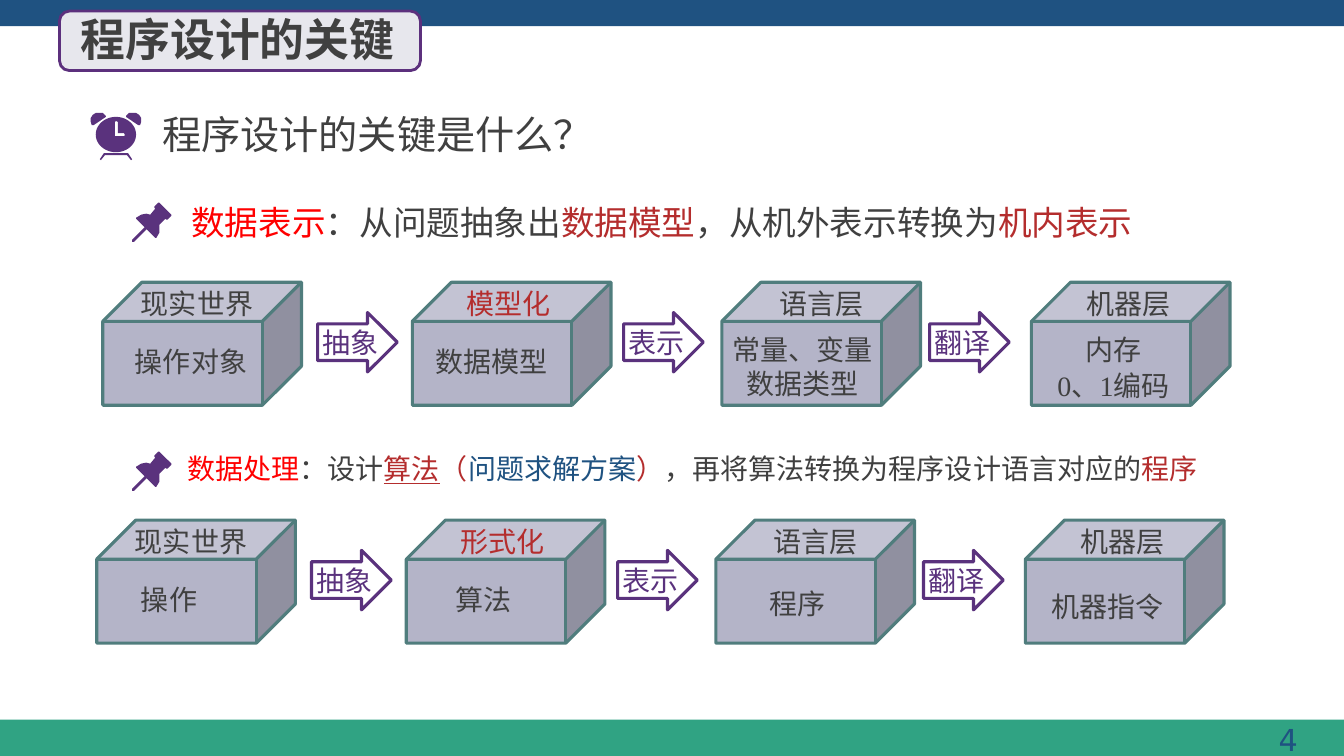
import math
from dataclasses import dataclass

from lxml import etree
from pptx import Presentation
from pptx.dml.color import RGBColor
from pptx.enum.shapes import MSO_SHAPE
from pptx.enum.text import MSO_ANCHOR, MSO_AUTO_SIZE, PP_ALIGN
from pptx.oxml.ns import qn
from pptx.util import Inches, Pt

RECT, ROUND_RECT = MSO_SHAPE.RECTANGLE, MSO_SHAPE.ROUNDED_RECTANGLE
CUBE, ARROW = MSO_SHAPE.CUBE, MSO_SHAPE.RIGHT_ARROW
LEFT, CENTER, RIGHT = PP_ALIGN.LEFT, PP_ALIGN.CENTER, PP_ALIGN.RIGHT
TOP, MIDDLE = MSO_ANCHOR.TOP, MSO_ANCHOR.MIDDLE
NO_AUTOSIZE = MSO_AUTO_SIZE.NONE

WIDTH, HEIGHT = 13.33, 7.5
CJK, LATIN, SERIF = "Noto Sans CJK SC", "DejaVu Sans", "Times New Roman"
INK, CRIMSON, RED = "404040", "B42D2D", "FF0000"
NAVY, PURPLE, GREEN = "1F5281", "5A327D", "30A383"

CUBE_PITCH, CUBE_SIZE = 3.07, (1.97, 1.22)
ARROW_PITCH, ARROW_SIZE = 3.035, (0.79, 0.59)
HEADING_OFFSETS = (0.28, 0.44, 0.47, 0.45)
STEPS = ("抽象", "表示", "翻译")
CLOCK_CENTER = 1.15
PIN_HEAD = (
    (1.7, 2.13), (1.58, 2.01), (1.57, 2.01), (1.53, 2.05), (1.53, 2.06),
    (1.54, 2.07), (1.49, 2.13), (1.45, 2.12), (1.4, 2.13), (1.35, 2.16),
    (1.35, 2.17), (1.54, 2.36), (1.55, 2.36), (1.58, 2.31), (1.58, 2.23),
    (1.64, 2.17), (1.65, 2.18), (1.66, 2.18), (1.7, 2.14),
)
PIN_NEEDLE = ((1.31, 2.4), (1.31, 2.38), (1.44, 2.25), (1.46, 2.25),
              (1.46, 2.27), (1.33, 2.4))


@dataclass
class Stage:
    """One cube: its heading, and its front text with place and format."""
    heading: str
    body: tuple
    dx: float
    dy: float
    width: float
    align: PP_ALIGN = CENTER
    heading_color: str = INK
    font: str = CJK
    spacing: object = None


DATA_STAGES = (
    Stage("现实世界", ("操作对象",), 0.22, 0.57, 1.39, LEFT),
    Stage("模型化", ("数据模型",), 0.13, 0.57, 1.37, LEFT, CRIMSON),
    Stage("语言层", ("常量、变量", "数据类型"), -0.02, 0.45, 1.64),
    Stage("机器层", ("内存", "0、1编码"), 0, 0.42, 1.63, font=SERIF, spacing=Pt(26)),
)
PROCESS_STAGES = (
    Stage("现实世界", ("操作",), 0.34, 0.57, 0.98, LEFT),
    Stage("形式化", ("算法",), 0.39, 0.57, 0.9, LEFT, CRIMSON),
    Stage("语言层", ("程序",), -0.01, 0.61, 1.64),
    Stage("机器层", ("机器指令",), 0, 0.61, 1.63, font=SERIF, spacing=Pt(26)),
)
DATA_POINT = (
    ("数据表示", RED), ("：从问题抽象出", INK), ("数据模型", CRIMSON),
    ("，从机外表示转换为", INK), ("机内表示", CRIMSON),
)
PROCESS_POINT = (
    ("数据处理", RED), ("：设计", INK), ("算法", CRIMSON, CJK, True),
    ("（", CRIMSON), ("问题求解方案", NAVY, LATIN), ("）", CRIMSON),
    ("，再将算法转换为程序设计语言对应的", INK), ("程序", CRIMSON),
)


def rgb(value):
    """Turn a hex string into a colour."""
    return RGBColor.from_string(value)


def box(left, top, width, height):
    """Give a rectangle in inches as slide lengths."""
    return [Inches(length) for length in (left, top, width, height)]


def write(frame, *paragraphs, size=20, color=INK, font=CJK, bold=False,
          align=LEFT, anchor=TOP, spacing=None, insets=(0.1, 0.05, 0.1, 0.05)):
    """Fill a frame with paragraphs, each a string or a series of (text, colour, font, underline)."""
    frame.word_wrap, frame.auto_size, frame.vertical_anchor = True, NO_AUTOSIZE, anchor
    (frame.margin_left, frame.margin_top,
     frame.margin_right, frame.margin_bottom) = box(*insets)
    for index, content in enumerate(paragraphs):
        paragraph = frame.add_paragraph() if index else frame.paragraphs[0]
        paragraph.alignment, paragraph.line_spacing = align, spacing
        pieces = ((content, color),) if isinstance(content, str) else content
        for text, ink, *extra in pieces:
            run = paragraph.add_run()
            run.text = text
            run.font.size, run.font.bold = Pt(size), bold
            run.font.color.rgb = rgb(ink)
            run.font.name = extra[0] if extra else font
            if len(extra) > 1:
                run.font.underline = extra[1]
            east_asian = etree.SubElement(run.font._element, qn("a:ea"))
            east_asian.set("typeface", CJK)


def add_text(slide, place, *paragraphs, **style):
    """Add a text box."""
    write(slide.shapes.add_textbox(*box(*place)).text_frame, *paragraphs, **style)


def paint(shape, fill=None, line=None, weight=2.25):
    """Set a shape's fill and outline, and drop its shadow."""
    shape.shadow.inherit = False
    if fill:
        shape.fill.solid()
        shape.fill.fore_color.rgb = rgb(fill)
    else:
        shape.fill.background()
    if line:
        shape.line.color.rgb = rgb(line)
        shape.line.width = Pt(weight)
    else:
        shape.line.fill.background()


def add_shape(slide, kind, place, fill=None, line=None, weight=2.25, adjust=()):
    """Add a preset shape."""
    shape = slide.shapes.add_shape(kind, *box(*place))
    for index, value in enumerate(adjust):
        shape.adjustments[index] = value
    paint(shape, fill, line, weight)
    return shape


def add_outline(slide, *contours, drop=0):
    """Add a purple freeform made of closed contours."""
    contours = [[(Inches(x), Inches(y + drop)) for x, y in points] for points in contours]
    builder = slide.shapes.build_freeform(*contours[0][0], scale=1.0)
    for index, points in enumerate(contours):
        if index:
            builder.move_to(*points[0])
        builder.add_line_segments(points[1:], close=True)
    paint(builder.convert_to_shape(), PURPLE)


def add_clock(slide):
    """Draw the alarm clock beside the question."""
    angles = [math.radians(step) for step in range(0, 360, 6)]
    face = [(CLOCK_CENTER + 0.2 * math.cos(a), 1.335 + 0.175 * math.sin(a)) for a in angles]
    hands = ((1.14, 1.21), (1.15, 1.2), (1.17, 1.21), (1.17, 1.32), (1.23, 1.32),
             (1.24, 1.34), (1.23, 1.35), (1.14, 1.35))
    foot = ((0.99, 1.58), (1.03, 1.52), (1.27, 1.52), (1.31, 1.58),
            (1.3, 1.59), (1.26, 1.54), (1.04, 1.54), (1, 1.59))
    bell = ((0.91, 1.24), (0.9, 1.21), (0.9, 1.17), (0.92, 1.14), (0.95, 1.12),
            (0.98, 1.12), (1.02, 1.12), (1.05, 1.15), (1.05, 1.16), (0.93, 1.24))
    add_outline(slide, face, hands)
    add_outline(slide, foot)
    add_outline(slide, bell)
    add_outline(slide, [(2 * CLOCK_CENTER - x, y) for x, y in bell])


def add_point(slide, left, top, pieces, size, height, drop=0):
    """Add a pinned statement."""
    add_outline(slide, PIN_HEAD, drop=drop)
    add_outline(slide, PIN_NEEDLE, drop=drop)
    add_text(slide, (left, top, 11.42, height), pieces, size=size, spacing=1.2)


def add_flow(slide, left, top, stages):
    """Add a row of cubes with labelled arrows between them."""
    for column, (stage, heading_dx) in enumerate(zip(stages, HEADING_OFFSETS)):
        x = left + column * CUBE_PITCH
        add_shape(slide, CUBE, (x, top, *CUBE_SIZE), "B4B4C8", "507D7D", adjust=(0.318,))
        add_text(slide, (x + heading_dx, top - 0.01, 1.66, 0.44), stage.heading,
                 color=stage.heading_color)
        add_text(slide, (x + stage.dx, top + stage.dy, stage.width, 0.4 * len(stage.body)),
                 *stage.body, align=stage.align, font=stage.font, spacing=stage.spacing)
    for column, step in enumerate(STEPS):
        place = (left + 2.13 + column * ARROW_PITCH, top + 0.3, *ARROW_SIZE)
        arrow = add_shape(slide, ARROW, place, line=PURPLE, adjust=(0.616, 0.5))
        write(arrow.text_frame, step, color=PURPLE, align=CENTER, anchor=MIDDLE,
              spacing=Pt(24), insets=(0.04, 0, 0, 0))


def add_title(slide, text):
    """Put the title on its rounded plate."""
    add_shape(slide, ROUND_RECT, (0.59, 0.11, 3.58, 0.59), "E7E7ED", "5C307D", 2)
    title = slide.shapes.title
    title.left, title.top, title.width, title.height = box(0.7, 0.07, 3.64, 0.64)
    write(title.text_frame, text, size=32, bold=True)
    title.element.getparent().append(title.element)


def main():
    """Build and save the slide."""
    deck = Presentation()
    deck.slide_width, deck.slide_height = Inches(WIDTH), Inches(HEIGHT)
    slide = deck.slides.add_slide(deck.slide_layouts[5])
    add_shape(slide, RECT, (0, HEIGHT - 0.36, WIDTH, 0.36), GREEN)
    add_shape(slide, RECT, (0, 0, WIDTH, 0.26), NAVY)
    add_text(slide, (10.03, 7.11, 2.94, 0.46), "4", size=21.6, color=NAVY,
             font=LATIN, align=RIGHT)
    add_title(slide, "程序设计的关键")
    add_clock(slide)
    add_text(slide, (1.51, 1.05, 7.26, 0.57), "程序设计的关键是什么？", size=28)
    add_point(slide, 1.8, 1.87, DATA_POINT, 24, 0.59)
    add_flow(slide, 1.02, 2.8, DATA_STAGES)
    add_point(slide, 1.76, 4.36, PROCESS_POINT, 20, 0.5, drop=2.47)
    add_flow(slide, 0.96, 5.16, PROCESS_STAGES)
    deck.save("out.pptx")


if __name__ == "__main__":
    main()
